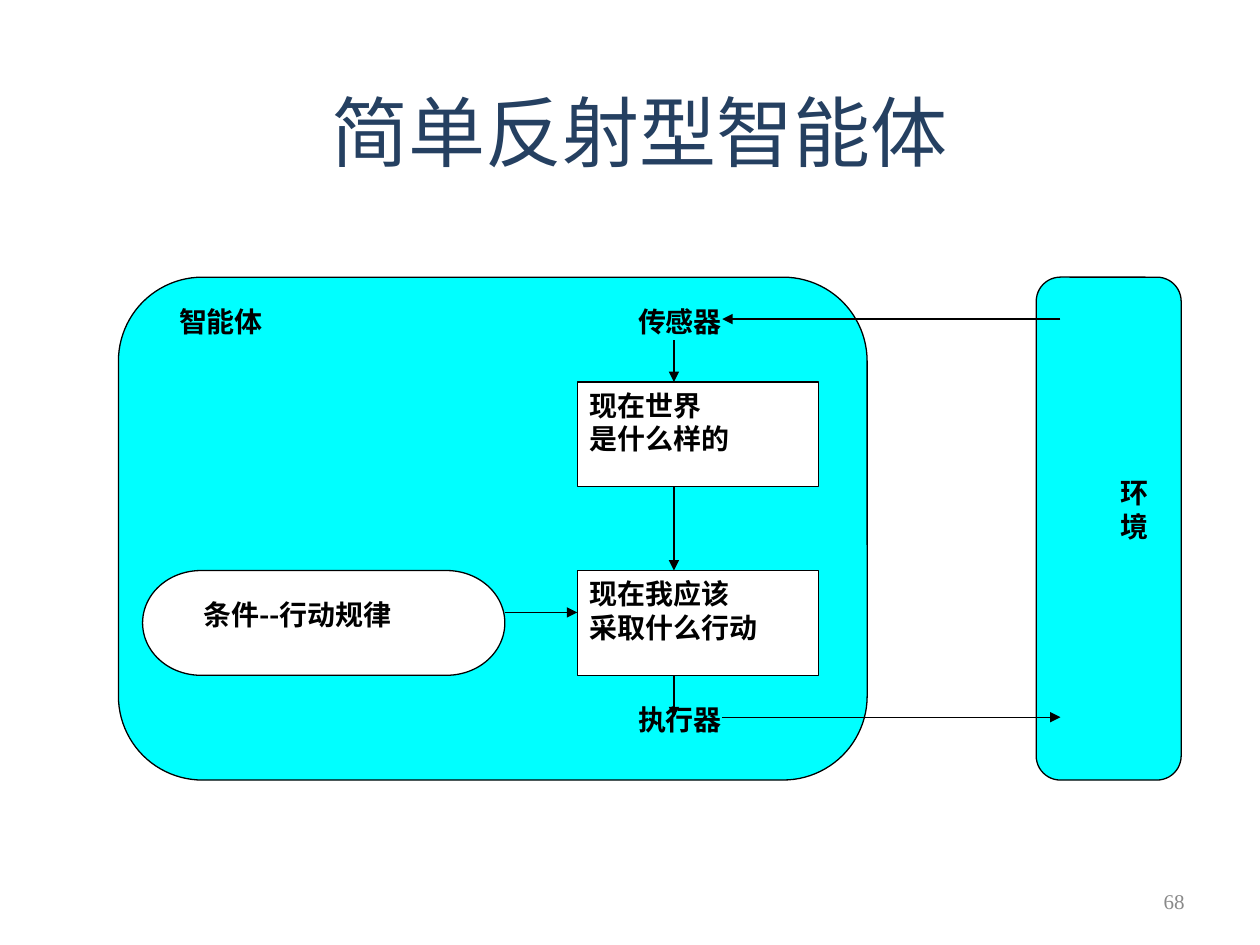
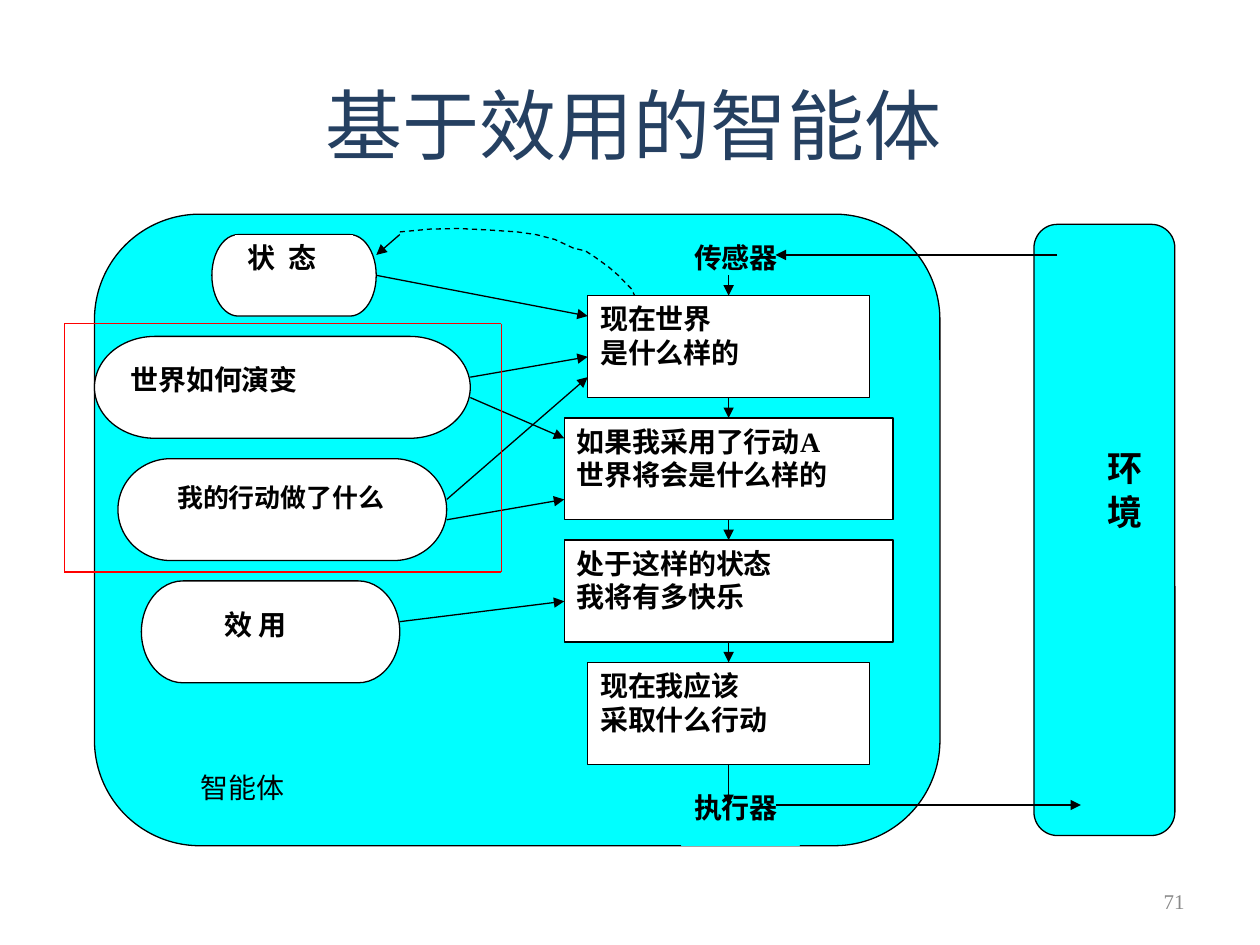
from dataclasses import dataclass
from itertools import pairwise

from lxml.etree import SubElement
from pptx import Presentation
from pptx.dml.color import RGBColor
from pptx.enum.dml import MSO_LINE
from pptx.enum.shapes import MSO_CONNECTOR, MSO_SHAPE
from pptx.enum.text import MSO_ANCHOR, PP_ALIGN
from pptx.oxml.ns import qn
from pptx.util import Inches, Pt


@dataclass(frozen=True)
class Theme:
    title: str = "254061"
    ink: str = "000000"
    panel: str = "00FFFF"
    paper: str = "FFFFFF"
    frame: str = "FF0000"
    number: str = "898989"
    latin: str = "Times New Roman"
    chinese: str = "Noto Sans CJK SC"
    title_size: float = 44
    label_size: float = 16
    small_size: float = 14.8
    large_size: float = 20
    number_size: float = 12
    line_width: float = 0.75
    corner: float = 0.167


THEME = Theme()
SLIDE_WIDTH, SLIDE_HEIGHT = Inches(10), Inches(7.5)


@dataclass(frozen=True)
class Grid:
    """Diagram grid: origin and cell size in inches."""
    left: float
    top: float
    column: float
    row: float

    def point(self, column, row):
        return (Inches(self.left + column * self.column),
                Inches(self.top + row * self.row))

    def area(self, column, row, columns, rows):
        return (*self.point(column, row),
                Inches(columns * self.column), Inches(rows * self.row))


# Text and outline helpers

def set_insets(text_frame, horizontal=0.1, vertical=0.05):
    text_frame.margin_left = text_frame.margin_right = Inches(horizontal)
    text_frame.margin_top = text_frame.margin_bottom = Inches(vertical)


def format_text(text_frame, size, color, align, font=THEME.latin, bold=False):
    text_frame.word_wrap = True
    for paragraph in text_frame.paragraphs:
        paragraph.alignment = align
        for run in paragraph.runs:
            run.font.size = Pt(size)
            run.font.bold = bold
            run.font.name = font
            run.font.color.rgb = RGBColor.from_string(color)
            east_asian = SubElement(run.font._element, qn("a:ea"))
            east_asian.set("typeface", THEME.chinese)


def set_line(line, color):
    line.color.rgb = RGBColor.from_string(color)
    line.width = Pt(THEME.line_width)


# Diagram elements

def add_block(slide, grid, cells, kind=MSO_SHAPE.RECTANGLE, fill=THEME.paper,
              outline=THEME.ink):
    shape = slide.shapes.add_shape(kind, *grid.area(*cells))
    shape.shadow.inherit = False
    shape.fill.solid()
    shape.fill.fore_color.rgb = RGBColor.from_string(fill)
    set_line(shape.line, outline)
    if kind == MSO_SHAPE.ROUNDED_RECTANGLE:
        shape.adjustments[0] = THEME.corner
    return shape


def add_panel(slide, grid, cells):
    return add_block(slide, grid, cells, MSO_SHAPE.ROUNDED_RECTANGLE, THEME.panel)


def add_terminator(slide, grid, cells):
    return add_block(slide, grid, cells, MSO_SHAPE.FLOWCHART_TERMINATOR)


def add_text_block(slide, grid, cells, text, fill=THEME.paper, outline=THEME.ink,
                   size=THEME.label_size, font=THEME.latin, bold=True):
    shape = add_block(slide, grid, cells, fill=fill, outline=outline)
    text_frame = shape.text_frame
    text_frame.text = text
    text_frame.vertical_anchor = MSO_ANCHOR.TOP
    set_insets(text_frame)
    format_text(text_frame, size, THEME.ink, PP_ALIGN.JUSTIFY, font, bold)
    return shape


def add_label(slide, grid, cells, text, fill=THEME.panel, **style):
    return add_text_block(slide, grid, cells, text, fill, fill, **style)


def add_environment(slide, grid, panel, label, size):
    add_panel(slide, grid, panel)
    text_frame = add_label(slide, grid, label, "环 境", size=size).text_frame
    set_insets(text_frame, 0.05, 0.1)
    text_frame._txBody.bodyPr.set("vert", "eaVert")


def add_line(slide, grid, start, end, color=THEME.ink, arrow=False):
    connector = slide.shapes.add_connector(
        MSO_CONNECTOR.STRAIGHT, *grid.point(*start), *grid.point(*end))
    set_line(connector.line, color)
    properties = connector._element.spPr
    if arrow:
        SubElement(properties.find(qn("a:ln")), qn("a:tailEnd")).set("type", "triangle")
    SubElement(properties, qn("a:effectLst"))


def add_arrows(slide, grid, arrows):
    for start, end in arrows:
        add_line(slide, grid, start, end, arrow=True)


def add_dashed_curve(slide, grid, points):
    start, *others = [grid.point(*point) for point in points]
    builder = slide.shapes.build_freeform(*start)
    builder.add_line_segments(others, close=False)
    curve = builder.convert_to_shape()
    curve.shadow.inherit = False
    curve.fill.background()
    set_line(curve.line, THEME.ink)
    curve.line.dash_style = MSO_LINE.DASH


def add_titled_slide(presentation, title, left, top, number):
    slide = presentation.slides.add_slide(presentation.slide_layouts[5])
    placeholder = slide.shapes.title
    placeholder.left, placeholder.top = int(SLIDE_WIDTH * left), int(SLIDE_HEIGHT * top)
    placeholder.width, placeholder.height = int(SLIDE_WIDTH * 0.85), Inches(0.87)
    placeholder.text_frame.text = title
    placeholder.text_frame.vertical_anchor = MSO_ANCHOR.MIDDLE
    format_text(placeholder.text_frame, THEME.title_size, THEME.title,
                PP_ALIGN.CENTER, THEME.chinese)

    # Page number
    box = slide.shapes.add_textbox(Inches(7.17), Inches(6.95), Inches(2.33), Inches(0.4))
    box.text_frame.text = number
    box.text_frame.vertical_anchor = MSO_ANCHOR.MIDDLE
    set_insets(box.text_frame)
    format_text(box.text_frame, THEME.number_size, THEME.number, PP_ALIGN.RIGHT)
    return slide


# Slides

def build_reflex_agent(presentation):
    slide = add_titled_slide(presentation, "简单反射型智能体", 0.083, 0.08, "68")
    grid = Grid(0.94, 2.2, 0.1917, 0.1663)

    add_panel(slide, grid, (0, 0, 31, 24))
    add_environment(slide, grid, (38, 0, 6, 24), (39, 9, 4, 6), THEME.label_size)
    for column, row, text in ((2, 1, "智能体"), (21, 1, "传感器"), (21, 20, "执行器")):
        add_label(slide, grid, (column, row, 6, 3), text)
    for row, text in ((5, "现在世界\n是什么样的"), (14, "现在我应该\n采取什么行动")):
        add_text_block(slide, grid, (19, row, 10, 5), text)
    add_terminator(slide, grid, (1, 14, 15, 5))
    add_label(slide, grid, (3, 15, 11, 3), "条件--行动规律", THEME.paper,
              font=THEME.chinese)

    add_arrows(slide, grid, [
        ((39, 2), (25, 2)), ((25, 21), (39, 21)), ((16, 16), (19, 16)),
        *(((23, start), (23, end)) for start, end in ((3, 5), (10, 14), (19, 21))),
    ])


def build_utility_agent(presentation):
    slide = add_titled_slide(presentation, "基于效用的智能体", 0.078, 0.073, "71")
    grid = Grid(0.75, 1.7, 0.1864, 0.1617)

    add_panel(slide, grid, (0, 0, 36, 31))
    add_environment(slide, grid, (40, 0.5, 6, 30), (41, 11, 4, 7.5), THEME.large_size)
    add_label(slide, grid, (25, 1, 6, 3), "传感器")

    # Decision steps, six rows apart
    steps = ((21, 12, "现在世界\n是什么样的"),
             (20, 14, "如果我采用了行动A\n世界将会是什么样的"),
             (20, 14, "处于这样的状态\n我将有多快乐"),
             (21, 12, "现在我应该\n采取什么行动"))
    for index, (column, columns, text) in enumerate(steps):
        add_text_block(slide, grid, (column, 4 + 6 * index, columns, 5), text)

    # Knowledge: terminator cells, label cells, text, size
    knowledge = (
        ((5, 1, 7, 4), (6, 1, 5, 3), "状  态", THEME.label_size),
        ((0, 6, 16, 5), (1, 7, 13, 3), "世界如何演变", THEME.label_size),
        ((1, 12, 14, 5), (3, 13, 10, 3), "我的行动做了什么", THEME.small_size),
        ((2, 18, 11, 5), (5, 19, 5, 3), "效 用", THEME.label_size),
    )
    for cells, label_cells, text, size in knowledge:
        add_terminator(slide, grid, cells)
        label = add_label(slide, grid, label_cells, text, THEME.paper, size=size)
        if size == THEME.small_size:
            label.text_frame.paragraphs[0].line_spacing = 0.9
    add_label(slide, grid, (4, 27, 5, 3), "智能体", bold=False)
    add_label(slide, grid, (25, 28, 5, 3), "执行器")

    # Arrows: environment, chain of steps, knowledge to steps
    add_arrows(slide, grid, [
        ((41, 2), (29, 2)), ((29, 29), (42, 29)),
        *(((27, row), (27, row + 1)) for row in range(3, 22, 6)),
        ((27, 27), (27, 29)),
        ((12, 3), (21, 5)), ((16, 8), (21, 7)), ((15, 15), (20, 14)),
        ((15, 14), (21, 8)), ((16, 9), (20, 11)), ((13, 20), (20, 19)),
        ((13, 1), (12, 2)),
    ])
    add_dashed_curve(slide, grid, (
        (13, 0.87), (14.3, 0.73), (15.5, 0.7), (16.7, 0.77), (18, 0.87),
        (18.8, 1), (19.6, 1.24), (20.4, 1.67), (20.9, 1.8), (21.3, 2.1),
        (21.9, 2.6), (22.3, 3), (22.85, 3.65), (23, 4)))
    add_line(slide, grid, (6, 1), (11, 1))

    # Red frame around the world model
    left, top, right, bottom = -1.29, 5.38, 17.33, 17.56
    corners = ((left, top), (right, top), (right, bottom), (left, bottom), (left, top))
    for start, end in pairwise(corners):
        add_line(slide, grid, start, end, THEME.frame)


def main():
    presentation = Presentation()
    presentation.slide_width, presentation.slide_height = SLIDE_WIDTH, SLIDE_HEIGHT
    build_reflex_agent(presentation)
    build_utility_agent(presentation)
    presentation.save("out.pptx")


if __name__ == "__main__":
    main()
